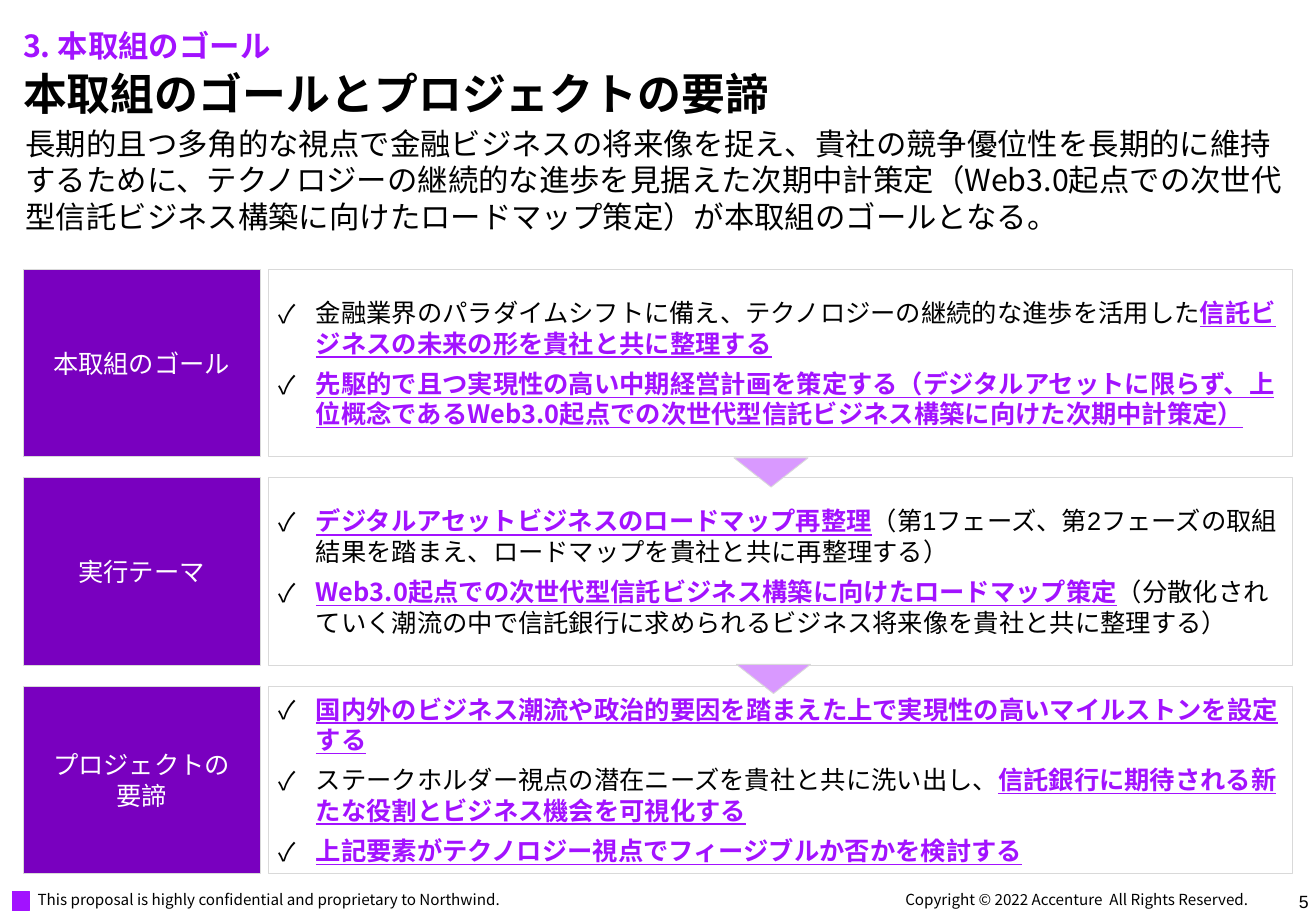
import pptx
import pptx.util
import pptx.dml.color
import pptx.enum.shapes
import pptx.enum.text
from lxml import etree
from pptx.oxml.ns import qn

Inches, Pt = pptx.util.Inches, pptx.util.Pt
SHAPES = pptx.enum.shapes.MSO_SHAPE
ANCHOR = pptx.enum.text.MSO_ANCHOR
ALIGN = pptx.enum.text.PP_ALIGN

NOTO, ARIAL = "Noto Sans CJK JP", "Arial"
BLACK, WHITE, BORDER = "000000", "FFFFFF", "D9D9D9"
PURPLE, DEEP_PURPLE, PALE_PURPLE = "A212FF", "7900BF", "D999FF"

SECTION = "3. 本取組のゴール"
TITLE = "本取組のゴールとプロジェクトの要諦"
SUMMARY = (
    "長期的且つ多角的な視点で金融ビジネスの将来像を捉え、貴社の競争優位性を長期的に維持するために、"
    "テクノロジーの継続的な進歩を見据えた次期中計策定（Web3.0起点での次世代型信託ビジネス構築に"
    "向けたロードマップ策定）が本取組のゴールとなる。"
)
PLAIN, KEY, LATIN = "plain", "key", "latin"
ROWS = [
    (["本取組のゴール"], [
        [("金融業界のパラダイムシフトに備え、テクノロジーの継続的な進歩を活用した", PLAIN),
         ("信託ビジネスの未来の形を貴社と共に整理する", KEY)],
        [("先駆的で且つ実現性の高い中期経営計画を策定する（デジタルアセットに限らず、上位概念である"
          "Web3.0起点での次世代型信託ビジネス構築に向けた次期中計策定）", KEY)],
    ]),
    (["実行テーマ"], [
        [("デジタルアセットビジネスのロードマップ再整理", KEY),
         ("（第1フェーズ、第2フェーズの取組結果を踏まえ、ロードマップを貴社と共に再整理する", LATIN),
         ("）", PLAIN)],
        [("Web3.0起点での次世代型信託ビジネス構築に向けたロードマップ策定", KEY),
         ("（分散化されていく潮流の中で信託銀行に求められるビジネス将来像を貴社と共に整理する）", PLAIN)],
    ]),
    (["プロジェクトの", "要諦"], [
        [("国内外のビジネス潮流や政治的要因を踏まえた上で実現性の高いマイルストンを設定する", KEY)],
        [("ステークホルダー視点の潜在ニーズを貴社と共に洗い出し、", PLAIN),
         ("信託銀行に期待される新たな役割とビジネス機会を可視化する", KEY)],
        [("上記要素がテクノロジー視点でフィージブルか否かを検討する", KEY)],
    ]),
]
FIRST_TOP, LAST_TOP, ROW_HEIGHT = 2.22, 5.65, 1.54
LABEL_LEFT, LABEL_WIDTH = 0.19, 1.95
DETAIL_LEFT, DETAIL_WIDTH = 2.21, 8.43
ARROWS = [(6.04, 3.77), (6.06, 5.47)]
FOOTERS = [
    ("This proposal is highly confidential and proprietary to Northwind.",
     (0.23, 7.33, 4.43, 0.3), 0.08, 9, NOTO, ALIGN.LEFT, ANCHOR.TOP),
    ("Copyright © 2022 Accenture  All Rights Reserved.",
     (7.41, 7.33, 3.39, 0.15), 0.04, 9, NOTO, ALIGN.LEFT, ANCHOR.BOTTOM),
    ("5", (9.36, 7.33, 1.45, 0.15), 0.04, 10.5, ARIAL, ALIGN.RIGHT, ANCHOR.TOP),
]


def color(value):
    return pptx.dml.color.RGBColor.from_string(value)


def add_run(paragraph, text, size, fill, bold=False, underline=False, font=NOTO):
    run = paragraph.add_run()
    run.text = text
    run.font.size = Pt(size)
    run.font.bold = bold
    run.font.underline = underline
    run.font.color.rgb = color(fill)
    run.font.name = font
    east_asian = etree.SubElement(run.font._element, qn("a:ea"))
    east_asian.set("typeface", NOTO)


def set_frame(shape, horizontal, vertical, anchor):
    frame = shape.text_frame
    frame.word_wrap = True
    frame.auto_size = pptx.enum.text.MSO_AUTO_SIZE.NONE
    frame.vertical_anchor = anchor
    frame.margin_left = frame.margin_right = Inches(horizontal)
    frame.margin_top = frame.margin_bottom = Inches(vertical)
    return frame


def place(shape, box):
    shape.left, shape.top, shape.width, shape.height = map(Inches, box)


def add_block(slide, kind, box, fill, border=BORDER):
    shape = slide.shapes.add_shape(kind, *map(Inches, box))
    shape.shadow.inherit = False
    shape.fill.solid()
    shape.fill.fore_color.rgb = color(fill)
    shape.line.color.rgb = color(border)
    shape.line.width = Pt(0.5)
    return shape


def add_text(slide, text, box, inset, size, font, align, anchor, fill=BLACK, bold=False):
    shape = slide.shapes.add_textbox(*map(Inches, box))
    paragraph = set_frame(shape, inset, 0, anchor).paragraphs[0]
    paragraph.alignment = align
    add_run(paragraph, text, size, fill, bold, font=font)


def add_check(paragraph):
    properties = paragraph._p.get_or_add_pPr()
    properties.set("marL", str(Inches(0.31)))
    properties.set("indent", str(Inches(-0.31)))
    bullet_color = etree.SubElement(properties, qn("a:buClr"))
    etree.SubElement(bullet_color, qn("a:srgbClr")).set("val", BLACK)
    etree.SubElement(properties, qn("a:buFont")).set("typeface", NOTO)
    etree.SubElement(properties, qn("a:buChar")).set("char", "✓")


def add_label(slide, lines, top):
    shape = add_block(slide, SHAPES.RECTANGLE, (LABEL_LEFT, top, LABEL_WIDTH, ROW_HEIGHT), DEEP_PURPLE)
    paragraph = set_frame(shape, 0.08, 0.08, ANCHOR.MIDDLE).paragraphs[0]
    paragraph.alignment = ALIGN.CENTER
    for index, line in enumerate(lines):
        if index:
            paragraph.add_line_break()
        add_run(paragraph, line, 15, WHITE)


def add_details(slide, items, top):
    shape = add_block(slide, SHAPES.RECTANGLE, (DETAIL_LEFT, top, DETAIL_WIDTH, ROW_HEIGHT), WHITE)
    frame = set_frame(shape, 0.08, 0.08, ANCHOR.MIDDLE)
    for index, runs in enumerate(items):
        paragraph = frame.add_paragraph() if index else frame.paragraphs[0]
        paragraph.alignment = ALIGN.LEFT
        paragraph.space_after = Pt(6)
        add_check(paragraph)
        for text, style in runs:
            key = style == KEY
            add_run(paragraph, text, 15, PURPLE if key else BLACK, key, key,
                    ARIAL if style == LATIN else NOTO)


def main():
    presentation = pptx.Presentation()
    presentation.slide_width = Inches(10.83)
    presentation.slide_height = Inches(7.5)
    slide = presentation.slides.add_slide(presentation.slide_layouts[5])

    title = slide.shapes.title
    place(title, (0.19, 0.52, 10.48, 0.46))
    paragraph = set_frame(title, 0, 0, ANCHOR.BOTTOM).paragraphs[0]
    paragraph.alignment = ALIGN.LEFT
    add_run(paragraph, TITLE, 26, BLACK, True)
    add_text(slide, SECTION, (0.19, 0.12, 10.48, 0.4), 0, 18, NOTO, ALIGN.LEFT, ANCHOR.BOTTOM, PURPLE, True)
    add_text(slide, SUMMARY, (0.21, 1.03, 10.48, 0.91), 0, 18, NOTO, ALIGN.LEFT, ANCHOR.TOP)

    pitch = (LAST_TOP - FIRST_TOP) / (len(ROWS) - 1)
    for index, (label, items) in enumerate(ROWS):
        top = FIRST_TOP + index * pitch
        add_label(slide, label, top)
        add_details(slide, items, top)
    for left, top in ARROWS:
        arrow = add_block(slide, SHAPES.ISOSCELES_TRIANGLE, (left, top, 0.61, 0.24), PALE_PURPLE)
        arrow.rotation = 180

    add_block(slide, SHAPES.RECTANGLE, (0.1, 7.34, 0.14, 0.16), PURPLE, PURPLE)
    for footer in FOOTERS:
        add_text(slide, *footer)
    presentation.save("out.pptx")


if __name__ == "__main__":
    main()
